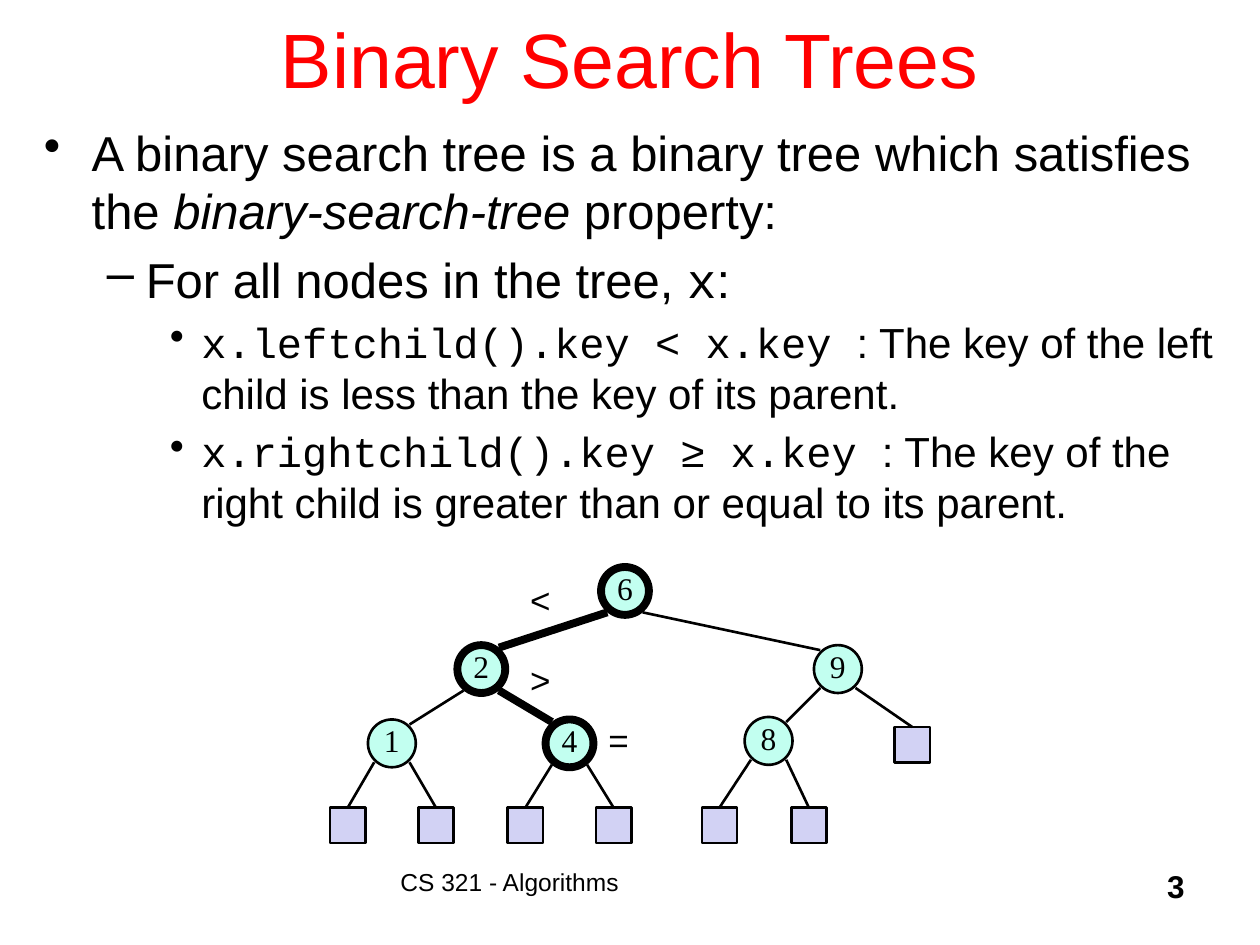
from lxml import etree
from pptx import Presentation
from pptx.dml.color import RGBColor
from pptx.enum.shapes import MSO_CONNECTOR, MSO_SHAPE
from pptx.enum.text import MSO_ANCHOR, PP_ALIGN
from pptx.oxml.ns import qn
from pptx.util import Inches, Pt

OVAL, RECT, LINE = MSO_SHAPE.OVAL, MSO_SHAPE.RECTANGLE, MSO_CONNECTOR.STRAIGHT
LEFT, CENTER, RIGHT = PP_ALIGN.LEFT, PP_ALIGN.CENTER, PP_ALIGN.RIGHT
TOP, MIDDLE = MSO_ANCHOR.TOP, MSO_ANCHOR.MIDDLE
SANS, MONO, SERIF = "Arial", "Courier New", "Times New Roman"
COLORS = {"ink": "000000", "title": "FF0000", "node": "C2FFF0", "leaf": "D2D2F4"}

LEVELS = [("•", 0.38, -0.38), ("–", 0.81, -0.31), ("•", 1.25, -0.25)]
BODY = [
    (0, 28, [("A binary search tree is a binary tree which satisfies the ", {}),
             ("binary-search-tree", {"italic": True}), (" property:", {})]),
    (1, 28, [("For all nodes in the tree, ", {}), ("x", {"font": MONO}), (":", {})]),
    (2, 24, [("x.leftchild().key < x.key ", {"font": MONO}),
             (": The key of the left child is less than the key of its parent.", {})]),
    (2, 24, [("x.rightchild().key ≥ x.key ", {"font": MONO}),
             (": The key of the right child is greater than or equal to its parent.", {})]),
]
NODES = {"6": (4.96, 4.69), "2": (3.82, 5.31), "9": (6.65, 5.31),
         "1": (3.11, 5.9), "4": (4.52, 5.9), "8": (6.1, 5.88)}
SEARCH_PATH = ["6", "2", "4"]
EDGES = [("6", "2"), ("6", "9"), ("2", "1"), ("2", "4"), ("9", "8")]
LEAVES = [("1", -0.35, 6.41), ("1", 0.35, 6.41), ("4", -0.35, 6.41), ("4", 0.35, 6.41),
          ("8", -0.39, 6.41), ("8", 0.32, 6.41), ("9", 0.59, 5.77)]
COMPARISONS = [("<", 4.11, 4.54), (">", 4.11, 5.18), ("=", 4.73, 5.65)]
NODE_SIZE, LEAF_SIZE = 0.38, 0.28
THIN, THICK = 1.5, 4.5

prs = Presentation()
prs.slide_width, prs.slide_height = Inches(10), Inches(7.5)
s = prs.slides.add_slide(prs.slide_layouts[6])


def rgb(name):
    return RGBColor.from_string(COLORS[name])


def add_run(p, text, size=18, font=SANS, color="ink", bold=False, italic=False):
    r = p.add_run()
    r.text = text
    r.font.size, r.font.name = Pt(size), font
    r.font.bold, r.font.italic = bold, italic
    r.font.color.rgb = rgb(color)


def add_text(text, x, y, w, h, align=LEFT, anchor=TOP, wrap=True, before=0, **style):
    tf = s.shapes.add_textbox(Inches(x), Inches(y), Inches(w), Inches(h)).text_frame
    tf.word_wrap, tf.vertical_anchor = wrap, anchor
    p = tf.paragraphs[0]
    p.alignment, p.space_before = align, Pt(before)
    if text:
        add_run(p, text, **style)
    return tf


def add_box(kind, cx, cy, size, fill, width):
    sp = s.shapes.add_shape(kind, Inches(cx - size / 2), Inches(cy - size / 2),
                            Inches(size), Inches(size))
    sp.shadow.inherit = False
    sp.fill.solid()
    sp.fill.fore_color.rgb = rgb(fill)
    sp.line.color.rgb = rgb("ink")
    sp.line.width = Pt(width)
    return sp


def add_line(start, end, width):
    c = s.shapes.add_connector(LINE, *(Inches(v) for v in start + end))
    c.line.color.rgb = rgb("ink")
    c.line.width = Pt(width)
    etree.SubElement(c._element.spPr, qn("a:effectLst"))
    return c


def corner(node, side, vertical):
    x, y = NODES[node]
    dy = 0.17 if node in SEARCH_PATH else 0.15
    return x + side * 0.14, y + vertical * dy


add_text("3", 7.42, 6.83, 2.08, 0.5, align=RIGHT, bold=True)
add_text("Binary Search Trees", 0.75, -0.17, 8.5, 1.25, align=CENTER, anchor=MIDDLE,
         size=44, color="title")
add_text("CS 321 - Algorithms", 3.08, 6.83, 3.83, 0.5, size=14)

tf = add_text("", 0.25, 0.92, 9.5, 6)
for i, (level, size, runs) in enumerate(BODY):
    p = tf.add_paragraph() if i else tf.paragraphs[0]
    p.level, p.space_before = level, Pt(size * 0.2)
    bullet, margin, indent = LEVELS[level]
    pPr = p._p.get_or_add_pPr()
    pPr.set("marL", str(Inches(margin)))
    pPr.set("indent", str(Inches(indent)))
    etree.SubElement(pPr, qn("a:buChar"), char=bullet)
    for text, style in runs:
        add_run(p, text, size=size, **style)

for key, (x, y) in NODES.items():
    sp = add_box(OVAL, x, y, NODE_SIZE, "node", THICK if key in SEARCH_PATH else THIN)
    tf = sp.text_frame
    tf.margin_left = tf.margin_right = tf.margin_top = 0
    tf.margin_bottom = Inches(0.05)
    tf.word_wrap, tf.vertical_anchor = False, MIDDLE
    p = tf.paragraphs[0]
    p.alignment, p.space_before = CENTER, Pt(3.6)
    add_run(p, key, font=SERIF)

for parent, child in EDGES:
    side = 1 if NODES[child][0] > NODES[parent][0] else -1
    on_path = parent in SEARCH_PATH and child in SEARCH_PATH
    add_line(corner(parent, side, 1), corner(child, -side, -1), THICK if on_path else THIN)

for parent, dx, top in LEAVES:
    x = NODES[parent][0] + dx
    leaf = add_box(RECT, x, top + LEAF_SIZE / 2, LEAF_SIZE, "leaf", THIN)
    c = add_line(corner(parent, 1 if dx > 0 else -1, 1), (x, top), THIN)
    c.end_connect(leaf, 0)

for sign, x, y in COMPARISONS:
    add_text(sign, x, y, 0.39, 0.48, wrap=False, before=4, size=20)

prs.save("out.pptx")
